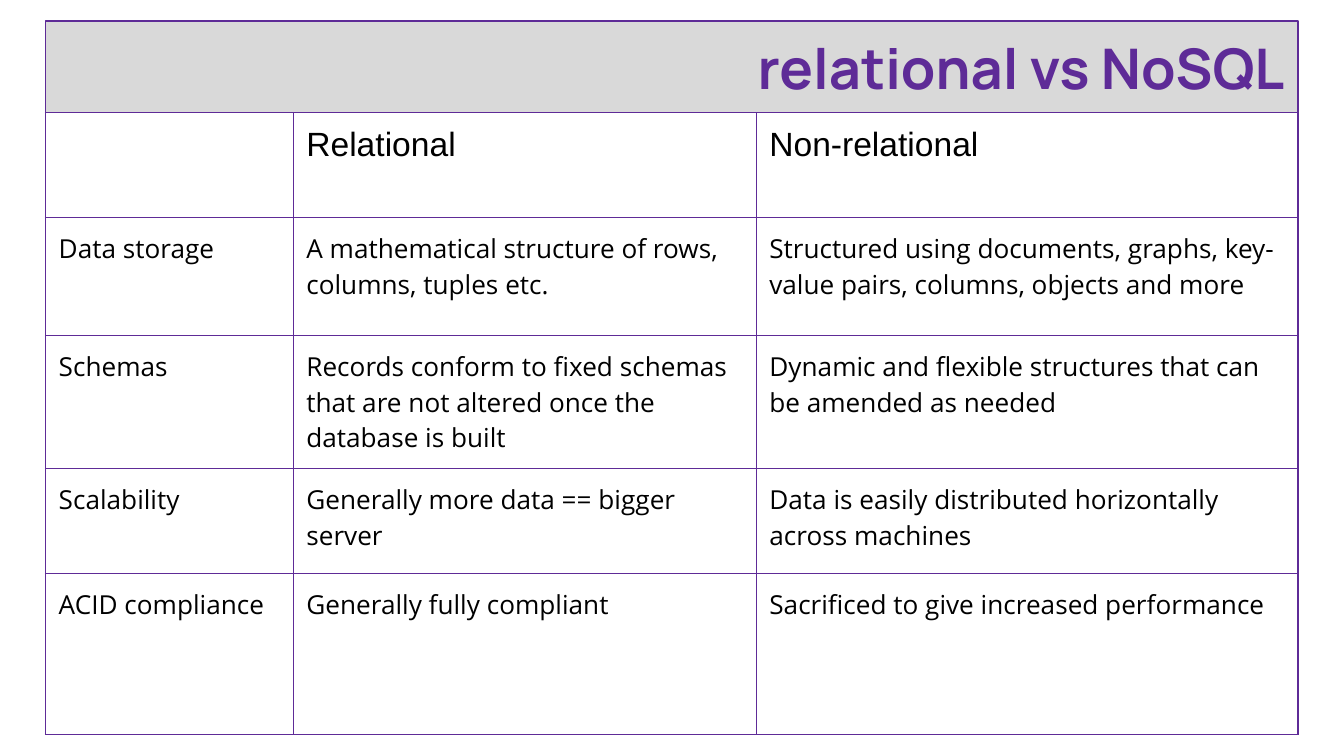
from lxml.etree import SubElement
from pptx import Presentation
from pptx.dml.color import RGBColor
from pptx.enum.text import MSO_ANCHOR, MSO_AUTO_SIZE, PP_ALIGN
from pptx.oxml.ns import qn
from pptx.util import Cm, Pt

PURPLE, GREY, BLACK = "5E2B97", "D9D9D9", "000000"
LINE_WIDTH = Pt(0.75)
MARGIN = Cm(0.25)

# Shared left edge and width of the title bar and table
LEFT, WIDTH = Cm(0.86), Cm(23.67)
TITLE_TOP, TITLE_HEIGHT = Cm(0.4), Cm(1.73)

COLUMN_WIDTHS = [Cm(4.68), Cm(8.75), Cm(10.24)]
ROW_HEIGHTS = [Cm(1.98), Cm(2.23), Cm(2.23), Cm(1.98), Cm(3.05)]
COMPARISON = [
    ("", "Relational", "Non-relational"),
    ("Data storage",
     "A mathematical structure of rows, columns, tuples etc.",
     "Structured using documents, graphs, key-value pairs, columns, objects and more"),
    ("Schemas",
     "Records conform to fixed schemas that are not altered once the database is built",
     "Dynamic and flexible structures that can be amended as needed"),
    ("Scalability",
     "Generally more data == bigger server",
     "Data is easily distributed horizontally across machines"),
    ("ACID compliance",
     "Generally fully compliant",
     "Sacrificed to give increased performance"),
]


def color(value):
    return RGBColor.from_string(value)


def set_margins(target):
    target.margin_left = target.margin_right = MARGIN
    target.margin_top = target.margin_bottom = MARGIN


def add_run(paragraph, text, font_name, size, text_color, bold=False):
    run = paragraph.add_run()
    run.text = text
    run.font.name = font_name
    run.font.size = Pt(size)
    run.font.bold = bold
    run.font.color.rgb = color(text_color)


def add_title(slide, text):
    title = slide.shapes.title
    title.left, title.top = LEFT, TITLE_TOP
    title.width, title.height = WIDTH, TITLE_HEIGHT
    title.fill.solid()
    title.fill.fore_color.rgb = color(GREY)
    title.line.color.rgb = color(PURPLE)
    title.line.width = LINE_WIDTH
    frame = title.text_frame
    set_margins(frame)
    frame.word_wrap = True
    frame.auto_size = MSO_AUTO_SIZE.NONE
    frame.vertical_anchor = MSO_ANCHOR.MIDDLE
    paragraph = frame.paragraphs[0]
    paragraph.alignment = PP_ALIGN.RIGHT
    add_run(paragraph, text, "Manrope", 30, PURPLE, bold=True)


def set_borders(cell):
    # Border elements must come before the cell's fill
    properties = cell._tc.get_or_add_tcPr()
    for position, side in enumerate(("a:lnL", "a:lnR", "a:lnT", "a:lnB")):
        border = SubElement(properties, qn(side), w=str(LINE_WIDTH))
        fill = SubElement(border, qn("a:solidFill"))
        SubElement(fill, qn("a:srgbClr"), val=PURPLE)
        properties.insert(position, border)


def fill_cell(cell, text, font_name, size):
    set_margins(cell)
    cell.vertical_anchor = MSO_ANCHOR.TOP
    cell.fill.background()
    set_borders(cell)
    if text:
        add_run(cell.text_frame.paragraphs[0], text, font_name, size, BLACK)


def add_comparison_table(slide):
    table = slide.shapes.add_table(
        len(ROW_HEIGHTS), len(COLUMN_WIDTHS), LEFT, TITLE_TOP + TITLE_HEIGHT,
        WIDTH, sum(ROW_HEIGHTS)).table
    table.first_row = table.horz_banding = False
    for column, width in zip(table.columns, COLUMN_WIDTHS):
        column.width = width
    for row_index, (row, height) in enumerate(zip(table.rows, ROW_HEIGHTS)):
        row.height = height
        font_name, size = ("Open Sans", 14) if row_index else ("Arial", 18)
        for cell, text in zip(row.cells, COMPARISON[row_index]):
            fill_cell(cell, text, font_name, size)


def main():
    presentation = Presentation()
    presentation.slide_width, presentation.slide_height = Cm(25.4), Cm(14.29)
    slide = presentation.slides.add_slide(presentation.slide_layouts[5])
    # Title bar
    add_title(slide, "relational vs NoSQL")
    # Comparison grid directly below the title bar
    add_comparison_table(slide)
    presentation.save("out.pptx")


if __name__ == "__main__":
    main()
